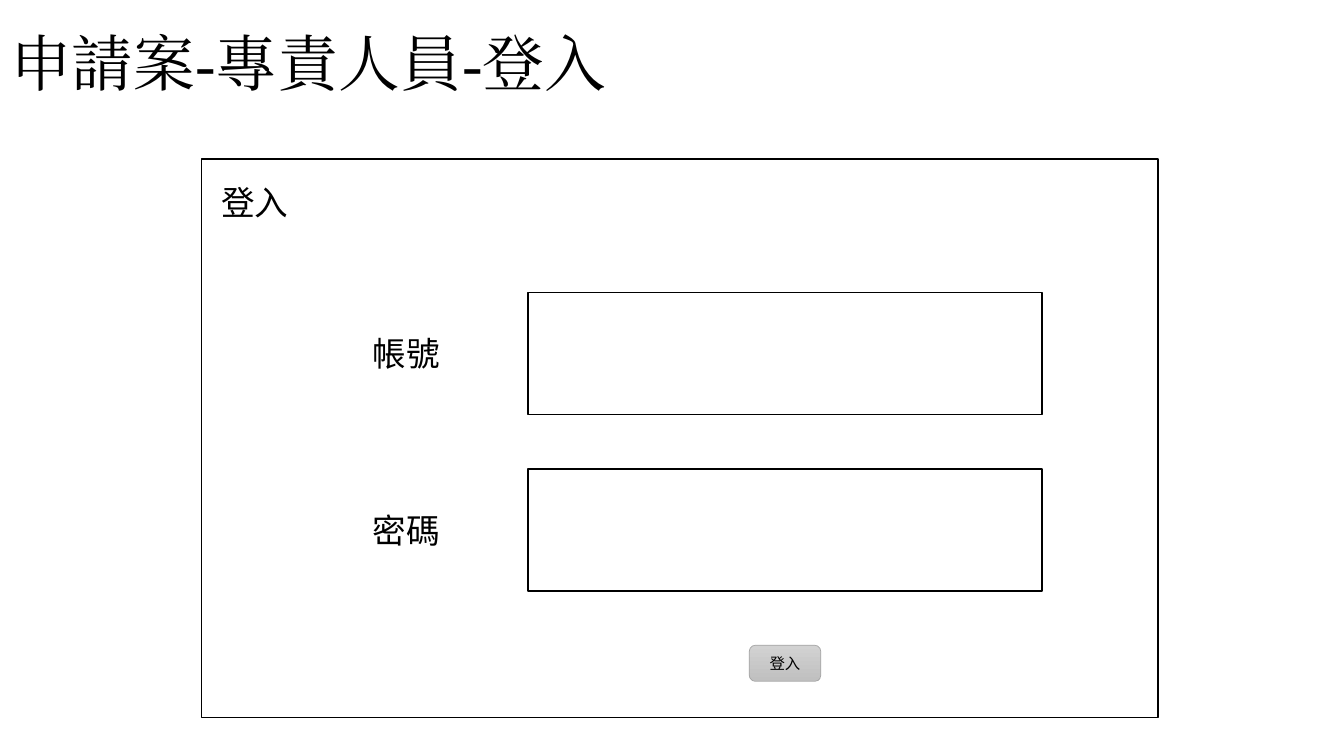
from pptx import Presentation
from pptx.dml.color import RGBColor
from pptx.enum.shapes import MSO_SHAPE
from pptx.enum.text import MSO_ANCHOR, PP_ALIGN
from pptx.oxml.ns import qn
from pptx.util import Cm, Pt
from lxml import etree

TITLE = "申請案-專責人員-登入"
PANEL_HEADING = "登入"
FIELD_LABELS = ["帳號", "密碼"]
BUTTON_TEXT = "登入"

RECTANGLE = MSO_SHAPE.RECTANGLE
ROUNDED = MSO_SHAPE.ROUNDED_RECTANGLE
MIDDLE, TOP = MSO_ANCHOR.MIDDLE, MSO_ANCHOR.TOP
LEFT, CENTER = PP_ALIGN.LEFT, PP_ALIGN.CENTER

THEME = {
    "ink": RGBColor(0x00, 0x00, 0x00),
    "paper": RGBColor(0xFF, 0xFF, 0xFF),
    "button_line": RGBColor(0xA5, 0xA5, 0xA5),
    "button_stops": [RGBColor(0xD2, 0xD2, 0xD2), RGBColor(0xC0, 0xC0, 0xC0)],
    "title": {"name": "Times New Roman", "size": Pt(44)},
    "label": {"name": "Noto Sans CJK SC", "size": Pt(24)},
    "button": {"name": "Calibri", "size": Pt(11)},
}

SLIDE_WIDTH, SLIDE_HEIGHT = 33.87, 19.05
TITLE_BOX = (0, 0.69, SLIDE_WIDTH, 1.96)
PANEL_BOX = (5.08, 4.01, 24.1, 14.07)
HEADING_BOX = (5.33, 4.45, 7.62, 1.27)
FIELD_LEFT, FIELD_TOP, FIELD_WIDTH, FIELD_HEIGHT = 13.31, 7.37, 12.95, 3.07
FIELD_PITCH = 4.45
LABEL_LEFT, LABEL_WIDTH, LABEL_HEIGHT = 9.14, 2.51, 1.27
BUTTON_TOP, BUTTON_WIDTH, BUTTON_HEIGHT = 16.26, 1.8, 0.91


def lengths(box):
    return [Cm(value) for value in box]


def write_text(shape, text, style, alignment=LEFT, anchor=TOP, line_spacing=1.0):
    frame = shape.text_frame
    frame.word_wrap = True
    frame.vertical_anchor = anchor
    paragraph = frame.paragraphs[0]
    for name, value in {"alignment": alignment, "line_spacing": line_spacing}.items():
        setattr(paragraph, name, value)
    run = paragraph.add_run()
    run.text = text
    for name, value in THEME[style].items():
        setattr(run.font, name, value)
    run.font.color.rgb = THEME["ink"]
    east_asian = etree.SubElement(run.font._element, qn("a:ea"))
    east_asian.set("typeface", THEME[style]["name"])


def add_label(slide, box, text):
    write_text(slide.shapes.add_textbox(*lengths(box)), text, "label")


def add_outlined(slide, kind, box, line_color, line_width):
    shape = slide.shapes.add_shape(kind, *lengths(box))
    shape.shadow.inherit = False
    shape.line.color.rgb = line_color
    shape.line.width = Pt(line_width)
    return shape


def add_field(slide, top):
    box = (FIELD_LEFT, top, FIELD_WIDTH, FIELD_HEIGHT)
    field = add_outlined(slide, RECTANGLE, box, THEME["ink"], 1)
    field.fill.solid()
    field.fill.fore_color.rgb = THEME["paper"]


def add_button(slide):
    left = FIELD_LEFT + (FIELD_WIDTH - BUTTON_WIDTH) / 2
    box = (left, BUTTON_TOP, BUTTON_WIDTH, BUTTON_HEIGHT)
    button = add_outlined(slide, ROUNDED, box, THEME["button_line"], 0.5)
    button.fill.gradient()
    button.fill.gradient_angle = 270
    for stop, color in zip(button.fill.gradient_stops, THEME["button_stops"]):
        stop.color.rgb = color
    write_text(button, BUTTON_TEXT, "button", CENTER, MIDDLE)


def main():
    presentation = Presentation()
    presentation.slide_width = Cm(SLIDE_WIDTH)
    presentation.slide_height = Cm(SLIDE_HEIGHT)
    slide = presentation.slides.add_slide(presentation.slide_layouts[5])

    title = slide.shapes.title
    title.left, title.top, title.width, title.height = lengths(TITLE_BOX)
    write_text(title, TITLE, "title", LEFT, MIDDLE, 0.9)

    panel = add_outlined(slide, RECTANGLE, PANEL_BOX, THEME["ink"], 1)
    panel.fill.background()
    add_label(slide, HEADING_BOX, PANEL_HEADING)

    for row, text in enumerate(FIELD_LABELS):
        top = FIELD_TOP + row * FIELD_PITCH
        add_field(slide, top)
        label_top = top + (FIELD_HEIGHT - LABEL_HEIGHT) / 2
        add_label(slide, (LABEL_LEFT, label_top, LABEL_WIDTH, LABEL_HEIGHT), text)

    add_button(slide)
    presentation.save("out.pptx")


if __name__ == "__main__":
    main()
